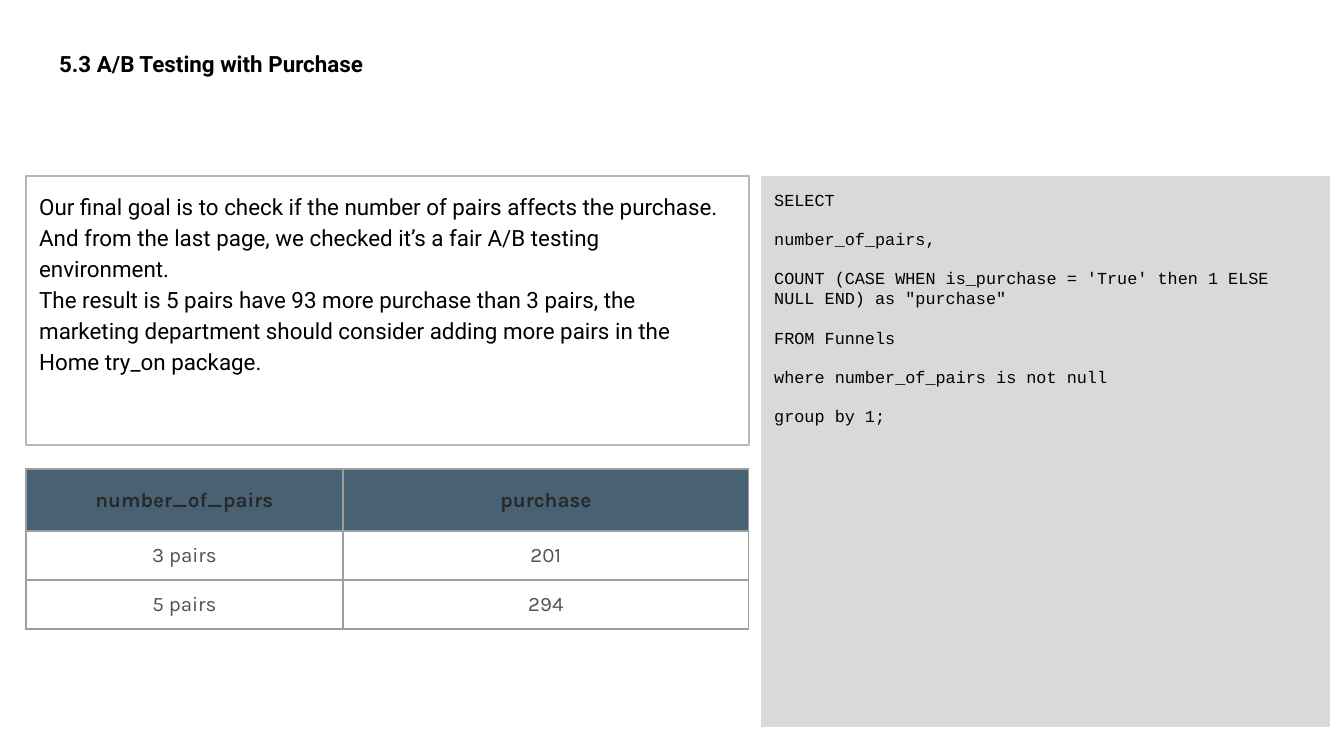
"""Build the A/B testing slide with its findings, result table and query."""
from lxml.etree import SubElement
from pptx import Presentation
from pptx.dml.color import RGBColor
from pptx.enum.shapes import MSO_SHAPE
from pptx.enum.text import MSO_ANCHOR, PP_ALIGN
from pptx.oxml.ns import qn
from pptx.util import Pt

PX = 914400 / 134.4
BLACK = RGBColor(0x00, 0x00, 0x00)
PANEL_GREY = RGBColor(0xD9, 0xD9, 0xD9)
FRAME_GREY = RGBColor(0xB7, 0xB7, 0xB7)
RULE_GREY = RGBColor(0x9E, 0x9E, 0x9E)
HEADER_BLUE = RGBColor(0x20, 0x40, 0x56)
HEADER_INK = RGBColor(0x29, 0x29, 0x29)
BODY_INK = RGBColor(0x52, 0x52, 0x52)

TITLE = "5.3 A/B Testing with Purchase"
FINDINGS = [
    "Our final goal is to check if the number of pairs affects the purchase. "
    "And from the last page, we checked it’s a fair A/B testing environment.",
    "The result is 5 pairs have 93 more purchase than 3 pairs, the marketing "
    "department should consider adding more pairs in the Home try_on package.",
]
QUERY = [
    "SELECT",
    "number_of_pairs,",
    "COUNT (CASE WHEN is_purchase = 'True' then 1 ELSE NULL END) as \"purchase\"",
    "FROM Funnels",
    "where number_of_pairs is not null",
    "group by 1;",
]
RESULTS = [("number_of_pairs", "purchase"), ("3 pairs", "201"), ("5 pairs", "294")]


def px(length):
    return round(length * PX)


def apply(target, values):
    for name, value in values.items():
        setattr(target, name, value)


class SlideBuilder:
    """Hold the text styles and the current slide."""

    title = {"name": "Roboto", "size": Pt(12), "bold": True}
    prose = {"name": "Roboto", "size": Pt(12)}
    code = {"name": "Courier New", "size": Pt(9)}
    cell = {"name": "Karla", "size": Pt(11)}
    inset = dict.fromkeys(
        ("margin_left", "margin_top", "margin_right", "margin_bottom"), px(13.44))

    def __init__(self, slide):
        self.slide = slide

    def set_lines(self, frame, lines, font, color, spacing=None, gap=0,
                  align=PP_ALIGN.LEFT):
        for index, line in enumerate(lines):
            paragraph = frame.add_paragraph() if index else frame.paragraphs[0]
            apply(paragraph, {"alignment": align, "line_spacing": spacing,
                              "space_before": Pt(gap if index else 0)})
            run = paragraph.add_run()
            run.text = line
            apply(run.font, font)
            run.font.color.rgb = color

    def add_text(self, box, lines, font):
        frame = self.slide.shapes.add_textbox(*map(px, box)).text_frame
        apply(frame, {**self.inset, "word_wrap": True,
                      "vertical_anchor": MSO_ANCHOR.BOTTOM})
        self.set_lines(frame, lines, font, BLACK)

    def add_panel(self, box, lines, font, fill=None, line=None, **layout):
        panel = self.slide.shapes.add_shape(MSO_SHAPE.RECTANGLE, *map(px, box))
        panel.shadow.inherit = False
        if fill:
            panel.fill.solid()
            panel.fill.fore_color.rgb = fill
        else:
            panel.fill.background()
        if line:
            panel.line.color.rgb = line
            panel.line.width = Pt(0.75)
        else:
            panel.line.fill.background()
        apply(panel.text_frame, {**self.inset, "word_wrap": True,
                                 "vertical_anchor": MSO_ANCHOR.TOP})
        self.set_lines(panel.text_frame, lines, font, BLACK, **layout)

    def add_border(self, cell):
        properties = cell._tc.get_or_add_tcPr()
        for side in ("a:lnL", "a:lnR", "a:lnT", "a:lnB"):
            edge = SubElement(properties, qn(side), w=str(Pt(0.75)))
            paint = SubElement(edge, qn("a:solidFill"))
            SubElement(paint, qn("a:srgbClr"), val=str(RULE_GREY))

    def fill_header(self, cell):
        cell.fill.solid()
        cell.fill.fore_color.rgb = HEADER_BLUE
        tint = cell._tc.tcPr.find(qn("a:solidFill")).find(qn("a:srgbClr"))
        SubElement(tint, qn("a:alpha"), val="82000")

    def add_table(self, left, top, widths, heights, rows):
        box = (left, top, sum(widths), sum(heights))
        table = self.slide.shapes.add_table(
            len(rows), len(widths), *map(px, box)).table
        apply(table, {"first_row": False, "horz_banding": False})
        for column, width in zip(table.columns, widths):
            column.width = px(width)
        for r, (height, values) in enumerate(zip(heights, rows)):
            table.rows[r].height = px(height)
            for c, value in enumerate(values):
                cell = table.cell(r, c)
                apply(cell, {"margin_left": px(1), "margin_right": px(1),
                             "margin_top": px(1), "margin_bottom": 0,
                             "vertical_anchor": MSO_ANCHOR.MIDDLE})
                self.add_border(cell)
                if r == 0:
                    self.fill_header(cell)
                else:
                    cell.fill.background()
                self.set_lines(cell.text_frame, [value], {**self.cell, "bold": r == 0},
                               BODY_INK if r else HEADER_INK, align=PP_ALIGN.CENTER)


def main():
    deck = Presentation()
    apply(deck, {"slide_width": px(1344), "slide_height": px(756)})
    builder = SlideBuilder(deck.slides.add_slide(deck.slide_layouts[6]))
    builder.add_text((46, 43, 1253, 47), [TITLE], builder.title)
    builder.add_panel((761, 176, 569, 551), QUERY, builder.code,
                      fill=PANEL_GREY, gap=10.2)
    builder.add_panel((26, 176, 723, 269), FINDINGS, builder.prose,
                      line=FRAME_GREY, spacing=1.15)
    builder.add_table(26, 469, (317, 406), (62, 49, 49), RESULTS)
    deck.save("out.pptx")


if __name__ == "__main__":
    main()
